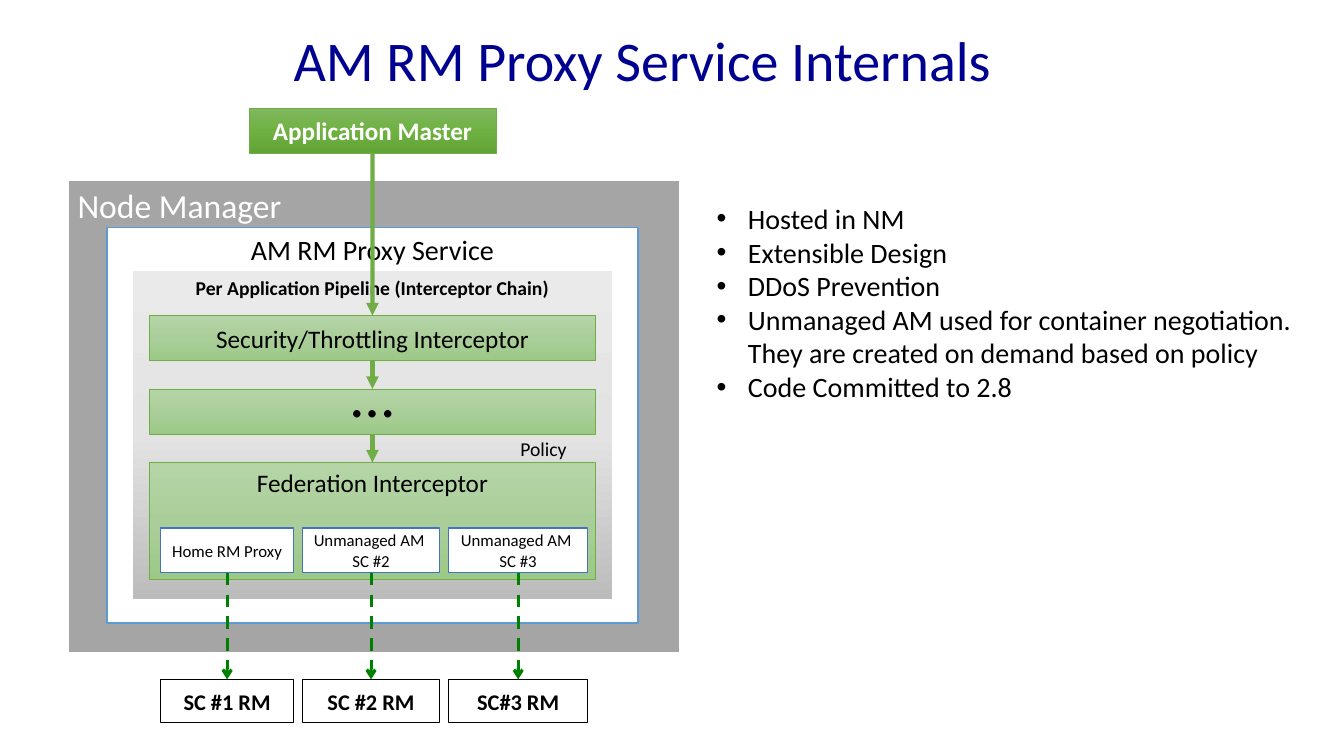
from lxml import etree
from pptx import Presentation
from pptx.dml.color import RGBColor
from pptx.enum.dml import MSO_LINE
from pptx.enum.shapes import MSO_CONNECTOR, MSO_SHAPE
from pptx.enum.text import MSO_ANCHOR, PP_ALIGN
from pptx.oxml.ns import qn
from pptx.util import Inches, Pt

TOP, MIDDLE, BOTTOM = MSO_ANCHOR.TOP, MSO_ANCHOR.MIDDLE, MSO_ANCHOR.BOTTOM
LEFT, CENTER = PP_ALIGN.LEFT, PP_ALIGN.CENTER
RECTANGLE, STRAIGHT, DASH = MSO_SHAPE.RECTANGLE, MSO_CONNECTOR.STRAIGHT, MSO_LINE.DASH
SIDE_TOP, SIDE_BOTTOM = 0, 2
WIDTH, HEIGHT = Inches(13.33), Inches(7.5)
FONT = "Calibri"

COLORS = {
    "navy": "000090", "black": "000000", "white": "FFFFFF", "gray": "A5A5A5",
    "sky": "5B9BD5", "blue": "4472C4", "green": "70AD47", "dark green": "008000",
}
GRADIENTS = {
    "master": ("81B861", "6FB242", "62A336"),
    "pipeline": ("EBEAEA", "E4E3E3", "BDBCBC"),
    "interceptor": ("B5D5A7", "AACE9A", "9CC987"),
}

INTERCEPTORS = [
    ("Security/Throttling Interceptor", 18, MIDDLE, 6),
    ("…", 44, BOTTOM, 6),
    ("Federation Interceptor", 18, TOP, 15.47),
]
SUBCLUSTERS = [
    ("Home RM Proxy", "SC #1 RM", 11.95, 9.9),
    ("Unmanaged AM \nSC #2", "SC #2 RM", 22.51, 10.2),
    ("Unmanaged AM \nSC #3", "SC#3 RM", 33.38, 10.35),
]
NOTES = [
    "Hosted in NM",
    "Extensible Design",
    "DDoS Prevention",
    "Unmanaged AM used for container negotiation. They are created on demand based on policy",
    "Code Committed to 2.8",
]


def rgb(name):
    """Return the named colour."""
    return RGBColor.from_string(COLORS[name])


def place(left, top, width, height):
    """Turn percentages of the slide's width and height into lengths."""
    return (round(WIDTH * left / 100), round(HEIGHT * top / 100),
            round(WIDTH * width / 100), round(HEIGHT * height / 100))


def write(frame, text, size, color="black", align=CENTER, anchor=TOP, bold=False):
    """Write and format the text of a frame."""
    frame.word_wrap = True
    frame.vertical_anchor = anchor
    frame.text = text
    for paragraph in frame.paragraphs:
        paragraph.alignment = align
        for run in paragraph.runs:
            run.font.name = FONT
            run.font.size = Pt(size)
            run.font.bold = bold
            run.font.color.rgb = rgb(color)


def add_label(slide, area, text, size, **style):
    """Add a text box and return its frame."""
    frame = slide.shapes.add_textbox(*place(*area)).text_frame
    write(frame, text, size, **style)
    return frame


def fill_gradient(shape, stops):
    """Fill a shape with an even gradient from top to bottom."""
    shape.fill.gradient()
    shape.fill.gradient_angle = 270
    stop_list = shape.element.spPr.find(qn("a:gradFill")).find(qn("a:gsLst"))
    for old_stop in list(stop_list):
        stop_list.remove(old_stop)
    for index, color in enumerate(stops):
        position = 100000 * index // (len(stops) - 1)
        stop = etree.SubElement(stop_list, qn("a:gs"), pos=str(position))
        etree.SubElement(stop, qn("a:srgbClr"), val=color)


def add_box(slide, area, text, size, fill="white", line=None, weight=1, **style):
    """Add a rectangle with text, filled with a colour or a gradient."""
    box = slide.shapes.add_shape(RECTANGLE, *place(*area))
    box.shadow.inherit = False
    if fill in GRADIENTS:
        fill_gradient(box, GRADIENTS[fill])
    else:
        box.fill.solid()
        box.fill.fore_color.rgb = rgb(fill)
    if line:
        box.line.color.rgb = rgb(line)
        box.line.width = Pt(weight)
    else:
        box.line.fill.background()
    write(box.text_frame, text, size, **style)
    return box


def add_arrow(slide, source, target, color="green", weight=3, head="triangle", dash=None):
    """Join the bottom of one box to the top of another with an arrow."""
    arrow = slide.shapes.add_connector(STRAIGHT, 0, 0, 0, 0)
    arrow.begin_connect(source, SIDE_BOTTOM)
    arrow.end_connect(target, SIDE_TOP)
    arrow.line.color.rgb = rgb(color)
    arrow.line.width = Pt(weight)
    if dash:
        arrow.line.dash_style = dash
    properties = arrow.element.spPr
    etree.SubElement(properties.find(qn("a:ln")), qn("a:tailEnd"), type=head)
    etree.SubElement(properties, qn("a:effectLst"))


def add_bullets(slide, area, items, size):
    """Add a bulleted list."""
    frame = add_label(slide, area, "\n".join(items), size, align=LEFT)
    indent = Inches(0.31)
    for paragraph in frame.paragraphs:
        properties = paragraph._p.get_or_add_pPr()
        properties.set("marL", str(indent))
        properties.set("indent", str(-indent))
        etree.SubElement(properties, qn("a:buFont"), typeface="Arial")
        etree.SubElement(properties, qn("a:buChar"), char="•")


def add_interceptors(slide, master):
    """Add the chain of interceptors below the application master."""
    previous = master
    for index, (text, size, anchor, height) in enumerate(INTERCEPTORS):
        area = (11.1, 41.73 + 9.73 * index, 33.23, height)
        interceptor = add_box(slide, area, text, size, "interceptor", "green", 0.5,
                              anchor=anchor)
        add_arrow(slide, previous, interceptor)
        previous = interceptor


def add_subclusters(slide):
    """Add each proxy with its resource manager and the arrow between them."""
    for proxy_text, manager_text, left, width in SUBCLUSTERS:
        proxy = add_box(slide, (left, 69.87, width, 5.87), proxy_text, 12,
                        line="blue", anchor=MIDDLE)
        manager = add_box(slide, (left, 89.87, width, 5.73), manager_text, 16,
                          line="black", anchor=MIDDLE, bold=True)
        add_arrow(slide, proxy, manager, "dark green", 2.25, "arrow", DASH)


def main():
    """Build the slide and save it."""
    deck = Presentation()
    deck.slide_width, deck.slide_height = WIDTH, HEIGHT
    slide = deck.slides.add_slide(deck.slide_layouts[6])

    title = add_label(slide, (4.65, 0, 86.27, 16.67), "AM RM Proxy Service Internals", 40,
                      color="navy", anchor=MIDDLE)
    title.paragraphs[0].line_spacing = 0.9
    add_box(slide, (5.03, 23.87, 45.54, 62.53), "Node Manager", 24, "gray", "white", 1.5,
            color="white", align=LEFT)
    add_box(slide, (7.95, 30.13, 39.53, 52.27), "AM RM Proxy Service", 20, line="sky")
    master = add_box(slide, (18.53, 14.27, 18.38, 6), "Application Master", 18, "master",
                     "green", 0.5, color="white", anchor=MIDDLE, bold=True)
    add_box(slide, (9.9, 35.87, 35.63, 43.33),
            "Per Application Pipeline (Interceptor Chain)", 14, "pipeline", bold=True)
    add_interceptors(slide, master)
    add_subclusters(slide)
    add_bullets(slide, (52.59, 26, 44.71, 37.2), NOTES, 20)
    add_label(slide, (37.06, 57.2, 6.75, 7.6), "Policy", 14)

    deck.save("out.pptx")


if __name__ == "__main__":
    main()
